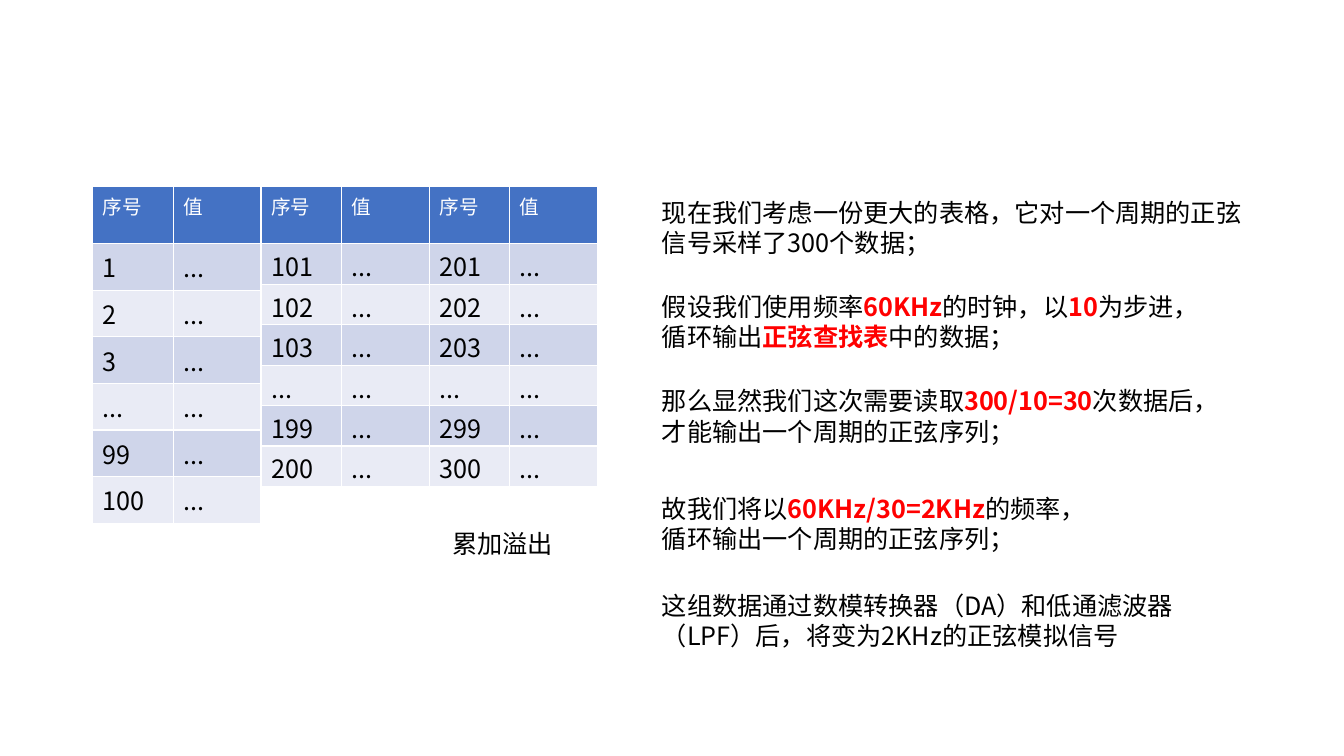
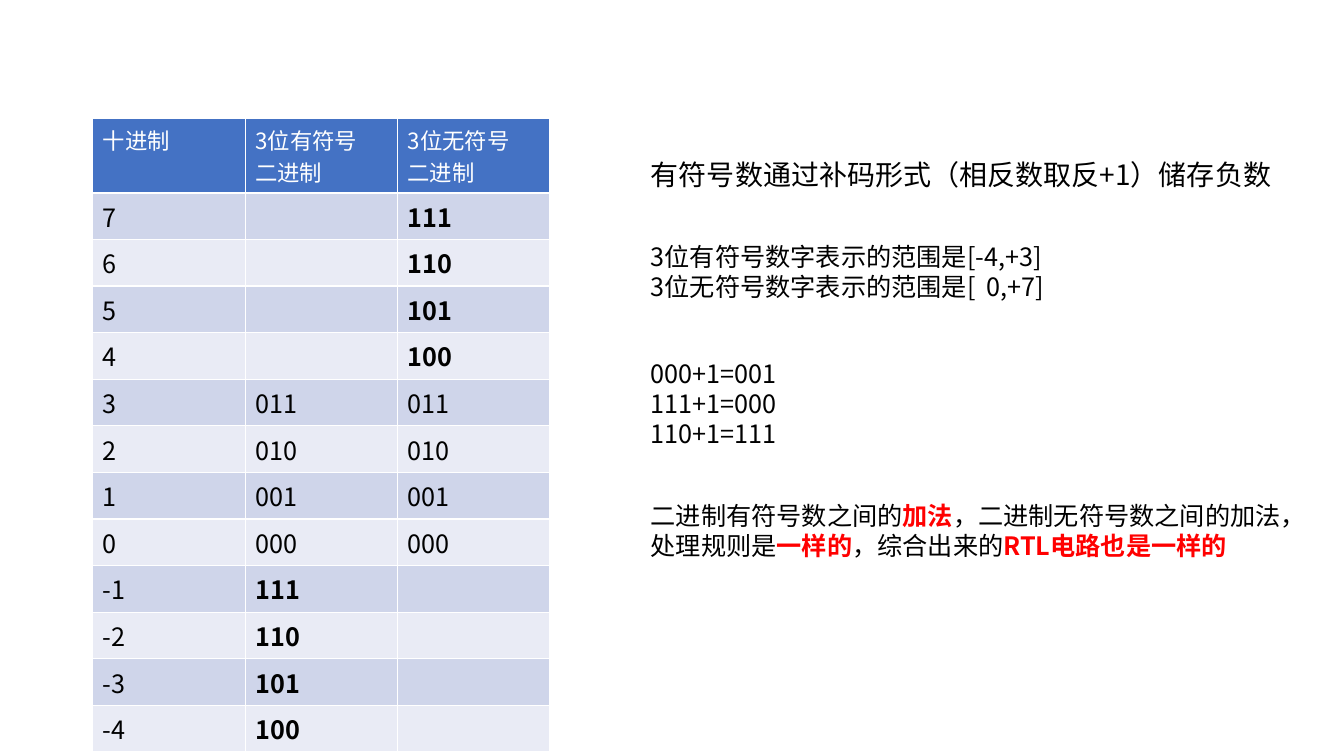
"""Build two slides on sine lookup tables and signed binary numbers."""
from lxml.etree import SubElement
from pptx import Presentation
from pptx.dml.color import RGBColor
from pptx.enum.text import MSO_AUTO_SIZE as AutoSize
from pptx.oxml.ns import qn
from pptx.util import Cm, Pt

FONT = "Noto Sans CJK SC"
BLACK = RGBColor(0x00, 0x00, 0x00)
WHITE = RGBColor(0xFF, 0xFF, 0xFF)
RED = RGBColor(0xFF, 0x00, 0x00)
BLUE = RGBColor(0x44, 0x72, 0xC4)
BANDS = [RGBColor(0xE9, 0xEB, 0xF5), RGBColor(0xCF, 0xD5, 0xEA)]
LINE = Pt(21.6)


def add_runs(p, parts, size=18, color=BLACK, bold=False):
    for i, text in enumerate(parts):
        key = i % 2 == 1
        r = p.add_run()
        r.text = text
        r.font.name = FONT
        r.font.size = Pt(size)
        r.font.bold = bold or key
        r.font.color.rgb = RED if key else color
        SubElement(r._r.get_or_add_rPr(), qn("a:ea"), typeface=FONT)


def add_grid(s, rows, left, top, widths, head_h, row_h, head_size, tight=False):
    height = head_h + row_h * (len(rows) - 1)
    tbl = s.shapes.add_table(len(rows), len(widths), Cm(left), Cm(top),
                             Cm(sum(widths)), Cm(height)).table
    for col, w in zip(tbl.columns, widths):
        col.width = Cm(w)
    for i, row in enumerate(rows):
        tbl.rows[i].height = Cm(row_h if i else head_h)
        for j, (text, bold) in enumerate(row):
            cell = tbl.cell(i, j)
            tcPr = cell._tc.get_or_add_tcPr()
            for side in ("lnL", "lnR", "lnT", "lnB"):
                ln = SubElement(tcPr, qn(f"a:{side}"), w=str(Pt(1)))
                fill = SubElement(ln, qn("a:solidFill"))
                SubElement(fill, qn("a:srgbClr"), val=str(WHITE))
            cell.fill.solid()
            cell.fill.fore_color.rgb = BANDS[i % 2] if i else BLUE
            if tight and i:
                cell.margin_top, cell.margin_bottom = Cm(0.25), 0
            tf = cell.text_frame
            for k, line in enumerate(text.split("\n")):
                p = tf.add_paragraph() if k else tf.paragraphs[0]
                if tight and i:
                    p.line_spacing = LINE
                if line:
                    add_runs(p, [line], 18 if i else head_size,
                             BLACK if i else WHITE, bold)


prs = Presentation()
prs.slide_width, prs.slide_height = Cm(33.87), Cm(19.05)
lookup = prs.slides.add_slide(prs.slide_layouts[6])
signed = prs.slides.add_slide(prs.slide_layouts[1])

for n in range(3):
    first = 100 * n
    numbers = [first + 1, first + 2, first + 3, "...", first + 99, first + 100]
    rows = [[("序号", False), ("值", False)]]
    rows += [[(str(x), False), ("...", False)] for x in numbers]
    add_grid(lookup, rows, 2.34 + 4.24 * n, 4.7, [2.03, 2.21], 1.44, 1.02, 14,
             tight=n > 0)

rows = [[("十进制", False), ("3位有符号\n二进制", False),
         ("3位无符号\n二进制", False)]]
for n in range(7, -5, -1):
    bits = format(n % 8, "03b")
    bold = n > 3 or n < 0
    rows.append([(str(n), False), (bits if n <= 3 else "", bold),
                 (bits if n >= 0 else "", bold)])
add_grid(signed, rows, 2.34, 2.98, [3.84] * 3, 1.6, 1.09, 16)

signed.shapes.title._element.getparent().remove(signed.shapes.title._element)
body = signed.placeholders[1]
body.left, body.top, body.width, body.height = Cm(16.15), Cm(4.01), Cm(16.74), Cm(1.68)
tf = body.text_frame
tf.auto_size = AutoSize.NONE
p = tf.paragraphs[0]
p.line_spacing = 0.8
p.space_before = Pt(0)
pPr = p._p.get_or_add_pPr()
pPr.set("marL", "0")
pPr.set("indent", "0")
SubElement(pPr, qn("a:buNone"))
add_runs(p, ["有符号数通过补码形式（相反数取反+1）储存负数"], 20)

notes = [
    (lookup, 16.43, 4.78, 15.32, 1.8,
     [["现在我们考虑一份更大的表格，它对一个周期的正弦信号采样了300个数据；"]]),
    (lookup, 16.43, 7.14, 15.11, 1.8,
     [["假设我们使用频率", "60KHz", "的时钟，以", "10", "为步进，"],
      ["循环输出", "正弦查找表", "中的数据；"]]),
    (lookup, 16.43, 9.53, 15.11, 1.8,
     [["那么显然我们这次需要读取", "300/10=30", "次数据后，"],
      ["才能输出一个周期的正弦序列；"]]),
    (lookup, 16.43, 12.24, 15.32, 1.8,
     [["故我们将以", "60KHz/30=2KHz", "的频率，"],
      ["循环输出一个周期的正弦序列；"]]),
    (lookup, 16.43, 14.68, 15.11, 1.8,
     [["这组数据通过数模转换器（DA）和低通滤波器（LPF）后，将变为2KHz的正弦模拟信号"]]),
    (lookup, 11.15, 13.13, 3.91, 1.02, [["累加溢出"]]),
    (signed, 16.15, 5.89, 15.19, 1.8,
     [["3位有符号数字表示的范围是[-4,+3]"],
      ["3位无符号数字表示的范围是[  0,+7]"]]),
    (signed, 16.15, 8.84, 7.06, 2.57,
     [["000+1=001"], ["111+1=000"], ["110+1=111"]]),
    (signed, 16.15, 12.42, 17.73, 1.8,
     [["二进制有符号数之间的", "加法", "，二进制无符号数之间的加法，"],
      ["处理规则是", "一样的", "，综合出来的", "RTL电路也是一样的"]]),
]
for s, left, top, width, height, lines in notes:
    sp = s.shapes.add_textbox(Cm(left), Cm(top), Cm(width), Cm(height))
    tf = sp.text_frame
    tf.word_wrap = True
    tf.margin_top = Cm(0.19)
    for k, parts in enumerate(lines):
        p = tf.add_paragraph() if k else tf.paragraphs[0]
        p.line_spacing = LINE
        add_runs(p, parts)

prs.save("out.pptx")
